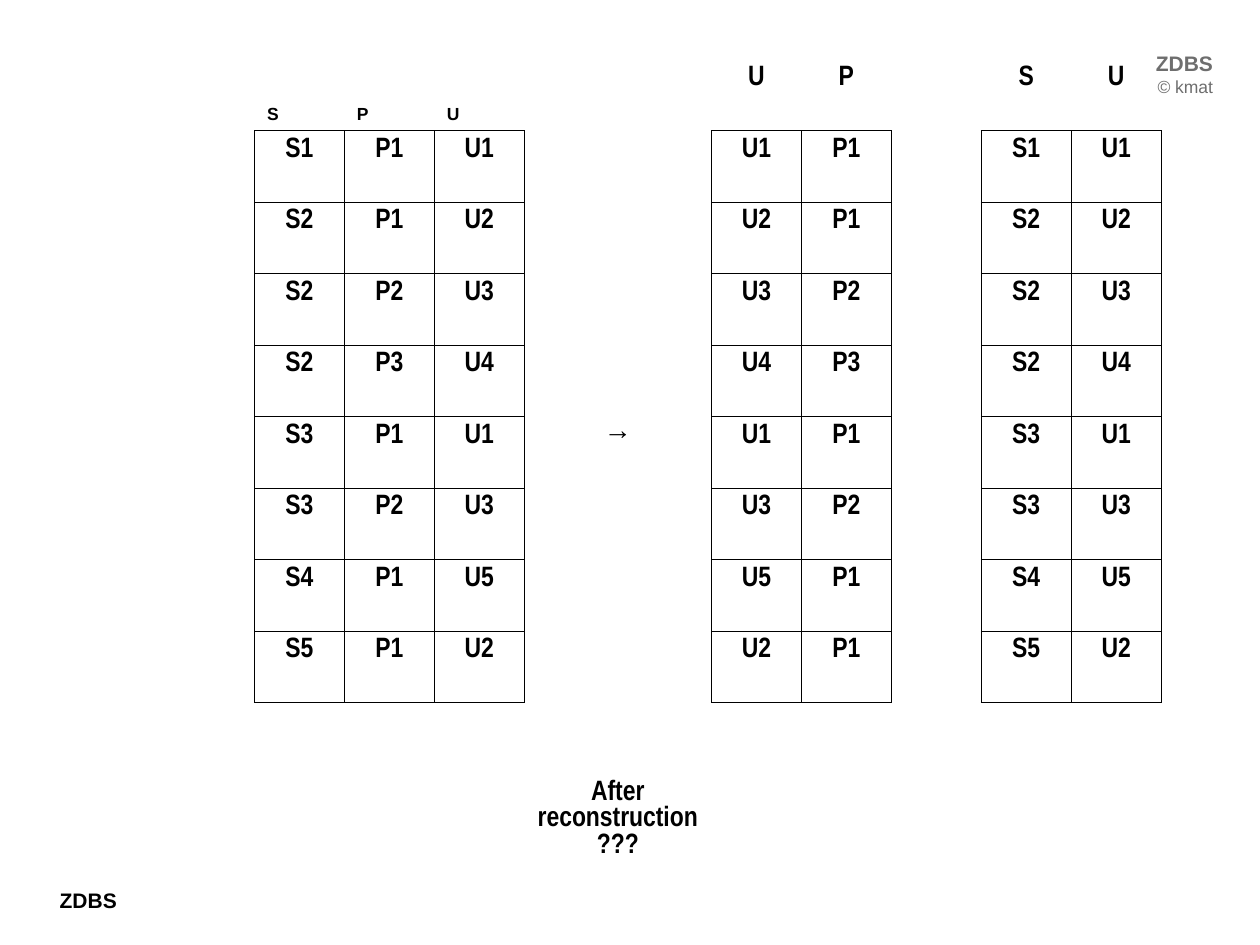
from dataclasses import dataclass
from typing import Any

from lxml.etree import SubElement
from pptx import Presentation
from pptx.dml.color import RGBColor
from pptx.enum.text import MSO_ANCHOR, MSO_AUTO_SIZE, PP_ALIGN
from pptx.oxml.ns import qn
from pptx.util import Pt

INK, GREY = "000000", "6E6E6E"
LINE = 0.45
COL, MID = 51.4, 107
ROW, LAST = 40.87, 85
PLAIN = "{2D5ABB26-0587-4C30-8999-92F81FD0307C}"  # style with no grid

# Text formats
HEAD = {"name": "Arial", "size": Pt(12), "bold": True}
NOTE = {"name": "Arial", "size": Pt(10), "bold": False}
LABEL = NOTE | {"bold": True}
BODY = {"name": "Arial Narrow", "size": Pt(16), "bold": True}
ARROW = BODY | {"bold": False}

# Supplier, part and user facts; the split relations follow from them
FACTS = [
    ("S1", "P1", "U1"), ("S2", "P1", "U2"), ("S2", "P2", "U3"),
    ("S2", "P3", "U4"), ("S3", "P1", "U1"), ("S3", "P2", "U3"),
    ("S4", "P1", "U5"), ("S5", "P1", "U2"),
]
GAP = 4  # column between the whole relation and its parts
POINT = 5  # row that holds the arrow
FULL = range(1, 4)
GRID = {*FULL, 5, 6, 8, 9}


@dataclass
class Box:
    left: float
    top: float
    width: float
    height: float
    align: Any
    color: str
    lines: list[tuple[str, dict]]


BOXES = [
    Box(27, 503.5, 48.5, 36, PP_ALIGN.LEFT, INK, [("ZDBS", HEAD)]),
    Box(651.7, 25.4, 48.5, 33.8, PP_ALIGN.RIGHT, GREY,
        [("ZDBS", HEAD), ("© kmat", NOTE)]),
]


def paint(target: Any, color: str) -> None:
    target.rgb = RGBColor.from_string(color)


def write(para: Any, text: str, form: dict, color: str, align: Any) -> None:
    para.alignment = align
    run = para.add_run()
    run.text = text
    for key, value in form.items():
        setattr(run.font, key, value)
    paint(run.font.color, color)


def add_box(slide: Any, box: Box) -> None:
    shape = slide.shapes.add_textbox(
        Pt(box.left), Pt(box.top), Pt(box.width), Pt(box.height))
    frame = shape.text_frame
    frame.word_wrap = False
    frame.auto_size = MSO_AUTO_SIZE.SHAPE_TO_FIT_TEXT
    for i, (text, form) in enumerate(box.lines):
        para = frame.add_paragraph() if i else frame.paragraphs[0]
        write(para, text, form, box.color, box.align)


def has_grid(row: int, col: int) -> bool:
    return 1 <= row <= len(FACTS) and col in GRID


def add_edges(cell: Any, row: int, col: int) -> None:
    """Rule each side that touches a cell of a relation, and clear the rest."""
    sides = {"L": (0, -1), "R": (0, 1), "T": (-1, 0), "B": (1, 0)}
    props = cell._tc.get_or_add_tcPr()
    for side, (down, over) in sides.items():
        edge = SubElement(props, qn(f"a:ln{side}"), w=str(int(Pt(LINE))))
        if has_grid(row, col) or has_grid(row + down, col + over):
            fill = SubElement(edge, qn("a:solidFill"))
            SubElement(fill, qn("a:srgbClr"), val=INK)
        else:
            SubElement(edge, qn("a:noFill"))


def lay_row(s: str, p: str, u: str, mid: str = "") -> list[str]:
    return ["", s, p, u, mid, u, p, "", s, u]


def add_grid(slide: Any) -> None:
    rows = [lay_row("S", "P", "U")]
    for i, fact in enumerate(FACTS, 1):
        rows.append(lay_row(*fact, mid="→" if i == POINT else ""))
    rows += [lay_row("", "", ""),
             lay_row("", "", "", "After reconstruction ???")]
    wide = [MID if c == GAP else COL for c in range(len(rows[0]))]
    high = [ROW] * (len(rows) - 1) + [LAST]
    table = slide.shapes.add_table(
        len(rows), len(wide), Pt(94), Pt(33.8),
        Pt(sum(wide)), Pt(sum(high))).table
    table.first_row = table.horz_banding = False
    table._tbl.tblPr.find(qn("a:tableStyleId")).text = PLAIN
    for column, width in zip(table.columns, wide):
        column.width = Pt(width)
    for line, height in zip(table.rows, high):
        line.height = Pt(height)
    for r, texts in enumerate(rows):
        for c, text in enumerate(texts):
            cell = table.cell(r, c)
            add_edges(cell, r, c)
            cell.fill.background()
            if not text:
                continue
            form, align = BODY, PP_ALIGN.CENTER
            if r == 0 and c in FULL:
                form, align = LABEL, PP_ALIGN.LEFT
                cell.vertical_anchor = MSO_ANCHOR.BOTTOM
            elif r == POINT and c == GAP:
                form = ARROW
            write(cell.text_frame.paragraphs[0], text, form, INK, align)


def main() -> None:
    deck = Presentation()
    deck.slide_width, deck.slide_height = Pt(720), Pt(540)
    slide = deck.slides.add_slide(deck.slide_layouts[6])
    # Corner marks
    for box in BOXES:
        add_box(slide, box)
    # Whole relation and its two parts
    add_grid(slide)
    deck.save("out.pptx")


if __name__ == "__main__":
    main()
